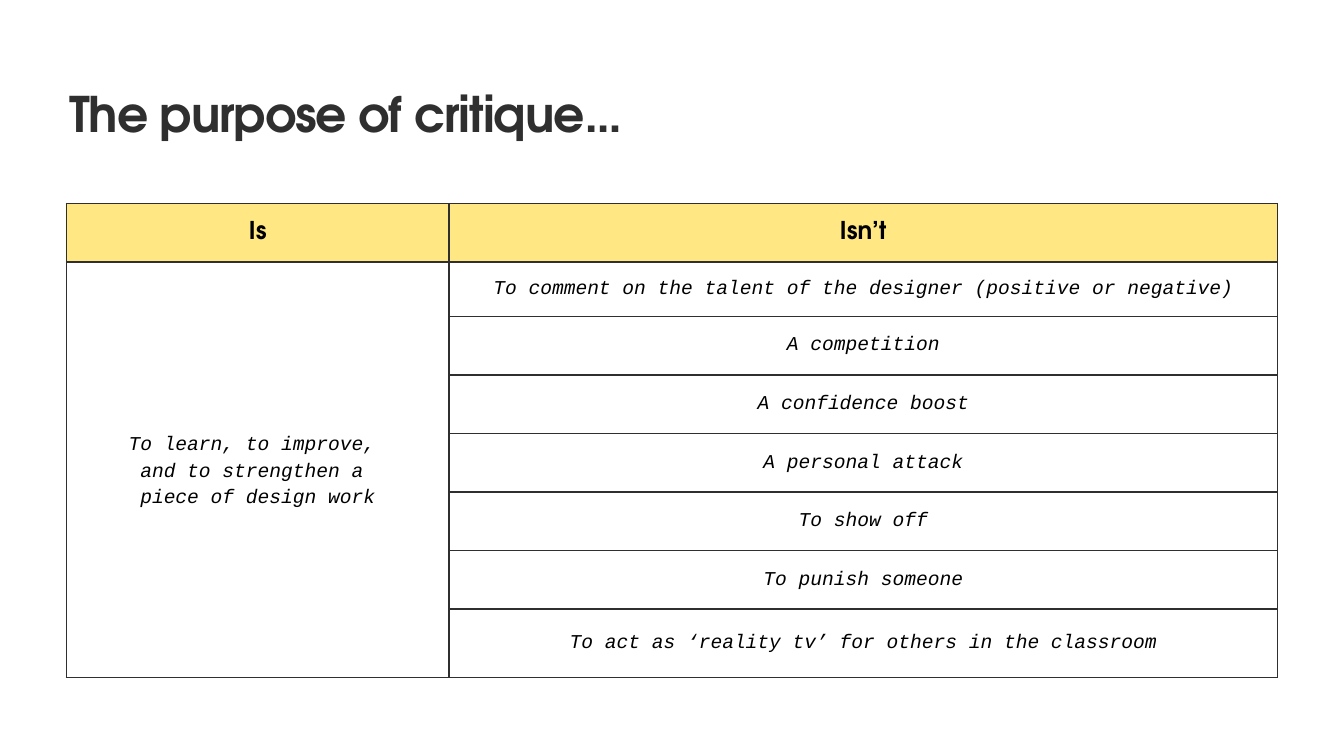
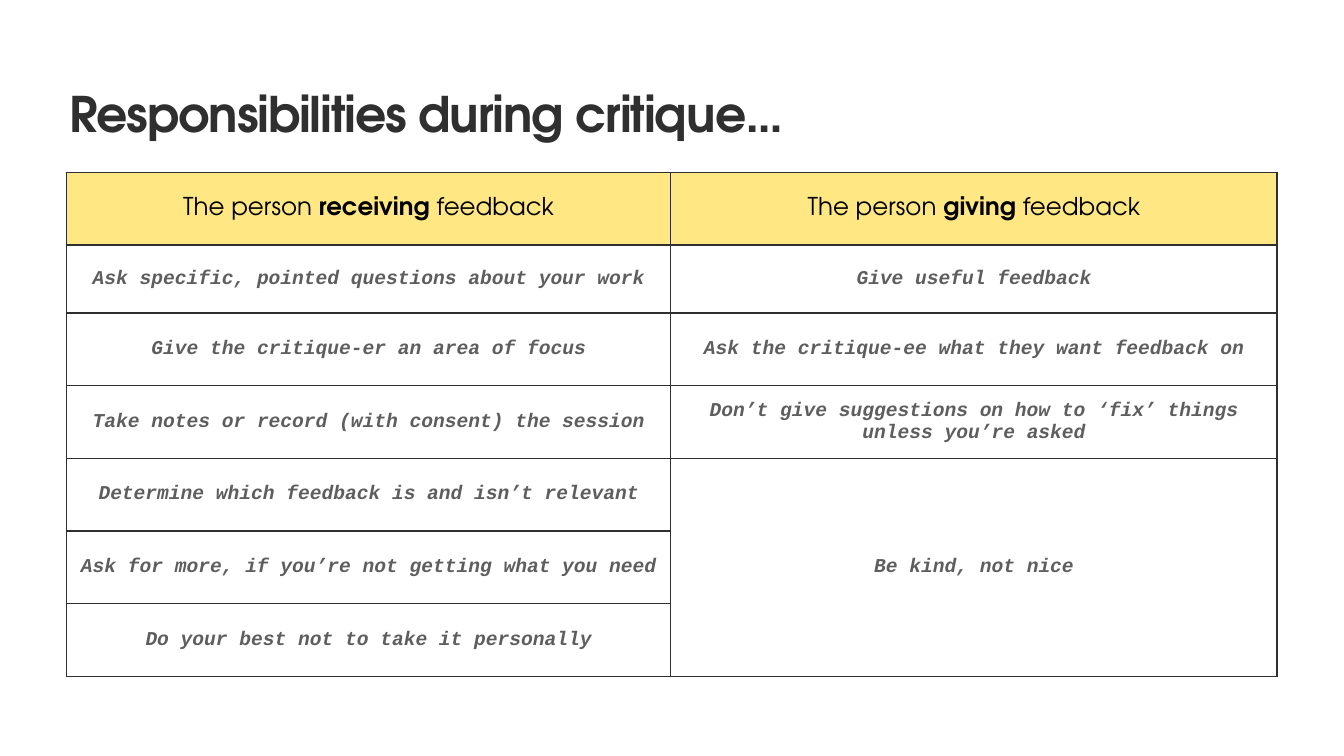
"""Build two slides on design critique, each a title above a bordered table."""
import pptx
import pptx.dml.color
import pptx.enum.text
import pptx.oxml
import pptx.oxml.ns
import pptx.util
from pptx.util import Cm, Pt

HEADING_FONT = "TeX Gyre Adventor"
BODY_FONT = "Courier New"
INK = "2F2F2F"
BLACK = "000000"
GREY = "5E5E5E"
YELLOW = "FFE884"
WHITE = "FFFFFF"
LEFT, WIDTH = Cm(3.35), Cm(61.04)


def set_font(font, name, size, color, bold=None, italic=None):
    font.name = name
    font.size = Pt(size)
    font.color.rgb = pptx.dml.color.RGBColor.from_string(color)
    font.bold = bold
    font.italic = italic


def add_borders(cell, color, width):
    properties = cell._tc.get_or_add_tcPr()
    for side in ("lnL", "lnR", "lnT", "lnB"):
        properties.append(pptx.oxml.parse_xml(
            f'<a:{side} {pptx.oxml.ns.nsdecls("a")} w="{Pt(width)}">'
            f'<a:solidFill><a:srgbClr val="{color}"/></a:solidFill></a:{side}>'))


critique_slides = [
    {
        "title": "The purpose of critique…",
        "top": 10.26,
        "columns": [19.28, 41.76],
        "rows": [2.95, 2.74] + [2.95] * 5 + [3.45],
        "text_color": BLACK,
        "bold": False,
        "merge": (1, 0, 7, 0),
        "merged_line_spacing": 1.2,
        "headers": ["*Is*", "*Isn’t*"],
        "lists": [
            ["To learn, to improve, \vand to strengthen a \vpiece of design work"],
            [
                "To comment on the talent of the designer (positive or negative)",
                "A competition",
                "A confidence boost",
                "A personal attack",
                "To show off",
                "To punish someone",
                "To act as ‘reality tv’ for others in the classroom",
            ],
        ],
    },
    {
        "title": "Responsibilities during critique…",
        "top": 8.69,
        "columns": [30.46, 30.56],
        "rows": [3.66, 3.43] + [3.66] * 5,
        "text_color": GREY,
        "bold": True,
        "merge": (4, 1, 6, 1),
        "merged_line_spacing": None,
        "headers": ["The person *receiving* feedback", "The person *giving* feedback"],
        "lists": [
            [
                "Ask specific, pointed questions about your work",
                "Give the critique-er an area of focus",
                "Take notes or record (with consent) the session",
                "Determine which feedback is and isn’t relevant",
                "Ask for more, if you’re not getting what you need",
                "Do your best not to take it personally",
            ],
            [
                "Give useful feedback",
                "Ask the critique-ee what they want feedback on",
                "Don’t give suggestions on how to ‘fix’ things unless you’re asked",
                "Be kind, not nice",
            ],
        ],
    },
]

presentation = pptx.Presentation()
presentation.slide_width, presentation.slide_height = Cm(67.74), Cm(38.1)
title_only_layout = presentation.slide_layouts[5]

for content in critique_slides:
    slide = presentation.slides.add_slide(title_only_layout)

    title = slide.shapes.title
    title.left, title.top, title.width, title.height = LEFT, Cm(4.04), WIDTH, Cm(4.17)
    frame = title.text_frame
    frame.text = content["title"]
    frame.word_wrap = True
    frame.auto_size = pptx.enum.text.MSO_AUTO_SIZE.NONE
    frame.vertical_anchor = pptx.enum.text.MSO_ANCHOR.TOP
    frame.margin_left = frame.margin_right = Cm(0.15)
    frame.margin_top = frame.margin_bottom = Cm(0.15)
    paragraph = frame.paragraphs[0]
    paragraph.alignment = pptx.enum.text.PP_ALIGN.LEFT
    set_font(paragraph.font, HEADING_FONT, 70, INK, bold=True)
    paragraph.runs[0]._r.get_or_add_rPr().set("spc", "-160")

    heights = content["rows"]
    table = slide.shapes.add_table(
        len(heights), len(content["columns"]),
        LEFT, Cm(content["top"]), WIDTH, Cm(sum(heights))).table
    table.first_row = False
    table.horz_banding = False
    for column, width in zip(table.columns, content["columns"]):
        column.width = Cm(width)
    for row, height in zip(table.rows, heights):
        row.height = Cm(height)

    for cell in table.iter_cells():
        add_borders(cell, INK, 2.25)
        cell.fill.background()
        cell.vertical_anchor = pptx.enum.text.MSO_ANCHOR.MIDDLE
        cell.margin_left = cell.margin_right = Cm(0.1)
        cell.margin_top = cell.margin_bottom = Cm(0.1)

    first_row, first_column, last_row, last_column = content["merge"]
    merged_cell = table.cell(first_row, first_column)
    merged_cell.merge(table.cell(last_row, last_column))

    for column_index, header in enumerate(content["headers"]):
        cell = table.cell(0, column_index)
        cell.fill.solid()
        cell.fill.fore_color.rgb = pptx.dml.color.RGBColor.from_string(YELLOW)
        paragraph = cell.text_frame.paragraphs[0]
        paragraph.alignment = pptx.enum.text.PP_ALIGN.CENTER
        set_font(paragraph.font, HEADING_FONT, 35, BLACK)
        for part_index, part in enumerate(header.split("*")):
            if part:
                run = paragraph.add_run()
                run.text = part
                run.font.bold = part_index % 2 == 1

        for row_index, text in enumerate(content["lists"][column_index], start=1):
            cell = table.cell(row_index, column_index)
            if column_index == 1:
                cell.fill.solid()
                cell.fill.fore_color.rgb = pptx.dml.color.RGBColor.from_string(WHITE)
            paragraph = cell.text_frame.paragraphs[0]
            paragraph.text = text
            paragraph.alignment = pptx.enum.text.PP_ALIGN.CENTER
            set_font(paragraph.font, BODY_FONT, 28, content["text_color"],
                     bold=content["bold"], italic=True)

    merged_cell.text_frame.paragraphs[0].line_spacing = content["merged_line_spacing"]

presentation.save("out.pptx")
